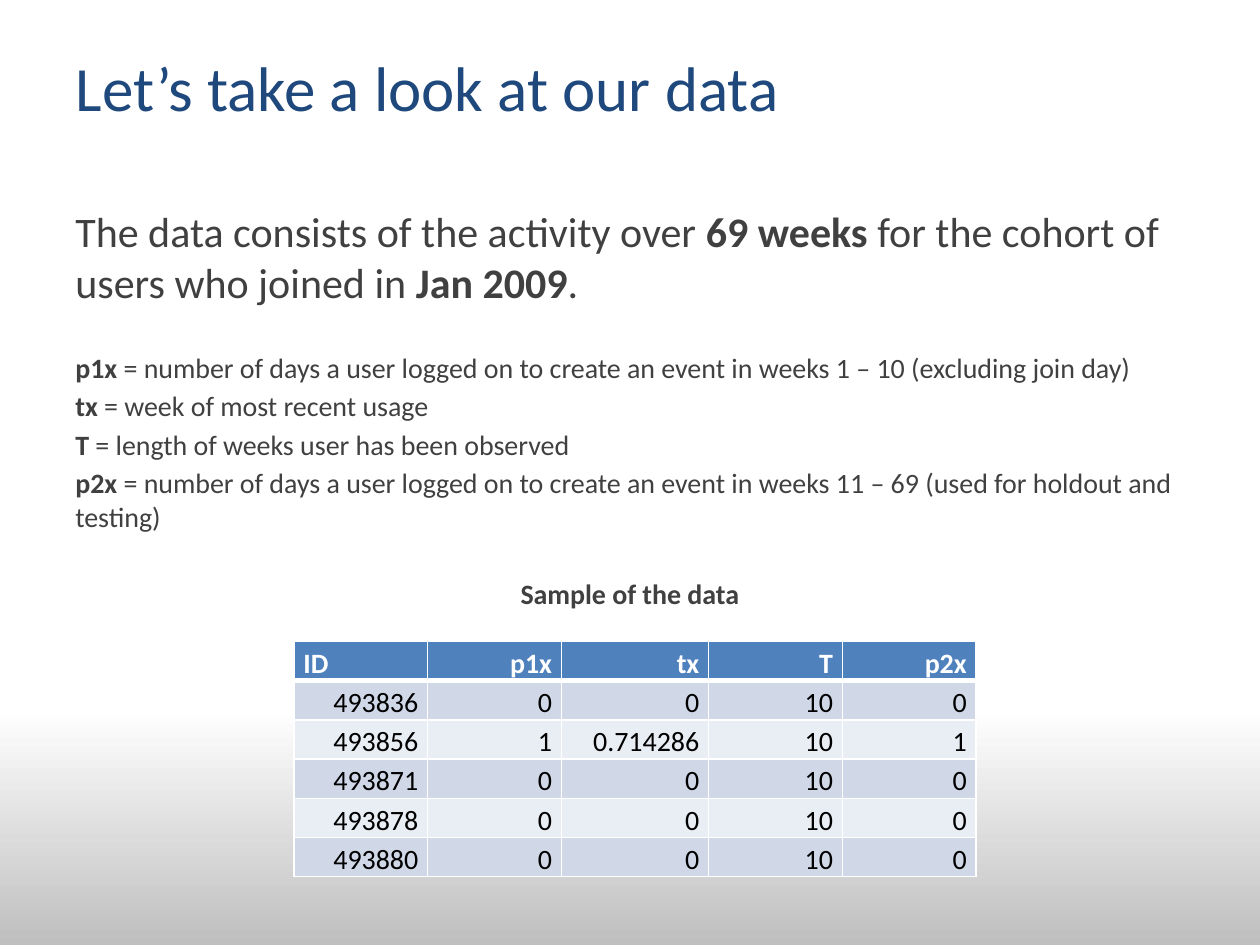
from lxml.etree import SubElement
from pptx import Presentation
from pptx.dml.color import RGBColor
from pptx.enum.text import MSO_ANCHOR, PP_ALIGN
from pptx.oxml.ns import qn
from pptx.util import Pt

FONT = "Calibri"
TITLE_BLUE = "1F497D"
BODY_GRAY = "404040"
HEADER_BLUE = "4F81BD"
BAND_FILLS = ("E9EDF4", "D0D8E8")
WHITE = "FFFFFF"
BLACK = "000000"

DESCRIPTION = [
    (24, 0, PP_ALIGN.LEFT, [
        ("The data consists of the activity over ", False),
        ("69 weeks", True),
        (" for the cohort of users who joined in ", False),
        ("Jan 2009", True),
        (".", False),
    ]),
    (16, 25, PP_ALIGN.LEFT, [
        ("p1x", True),
        (" = number of days a user logged on to create an event in weeks 1 – 10 (excluding join day)", False),
    ]),
    (16, 2.8, PP_ALIGN.LEFT, [("tx", True), (" = week of most recent usage", False)]),
    (16, 2.8, PP_ALIGN.LEFT, [("T", True), (" = length of weeks user has been observed", False)]),
    (16, 2.8, PP_ALIGN.LEFT, [
        ("p2x", True),
        (" = number of days a user logged on to create an event in weeks 11 – 69 (used for holdout and testing)", False),
    ]),
    (16, 25, PP_ALIGN.CENTER, [("Sample of the data", True)]),
]

SAMPLE = [
    ("ID", "p1x", "tx", "T", "p2x"),
    ("493836", "0", "0", "10", "0"),
    ("493856", "1", "0.714286", "10", "1"),
    ("493871", "0", "0", "10", "0"),
    ("493878", "0", "0", "10", "0"),
    ("493880", "0", "0", "10", "0"),
]
COLUMN_WIDTHS = (76.4, 76.4, 84.2, 76.4, 76.4)
ROW_HEIGHT = 22.4


def color(hex_string):
    return RGBColor.from_string(hex_string)


def format_run(run, size, hex_string, bold=False):
    run.font.name = FONT
    run.font.size = Pt(size)
    run.font.bold = bold
    run.font.color.rgb = color(hex_string)


def paint_background(slide):
    fill = slide.background.fill
    fill.gradient()
    fill.gradient_angle = 270
    for stop, position, hex_string in zip(fill.gradient_stops, (0.75, 1), (WHITE, "BFBFBF")):
        stop.position = position
        stop.color.rgb = color(hex_string)


def place_title(slide, left, top, width, height):
    title = slide.shapes.title
    title.left, title.top, title.width, title.height = map(Pt, (left, top, width, height))
    text_frame = title.text_frame
    text_frame.text = "Let’s take a look at our data"
    text_frame.vertical_anchor = MSO_ANCHOR.TOP
    paragraph = text_frame.paragraphs[0]
    paragraph.alignment = PP_ALIGN.LEFT
    format_run(paragraph.runs[0], 36, TITLE_BLUE)


def place_description(slide, left, top, width, height):
    text_frame = slide.shapes.add_textbox(*map(Pt, (left, top, width, height))).text_frame
    text_frame.word_wrap = True
    for index, (size, space_before, alignment, parts) in enumerate(DESCRIPTION):
        paragraph = text_frame.add_paragraph() if index else text_frame.paragraphs[0]
        paragraph.space_before = Pt(space_before)
        paragraph.alignment = alignment
        for text, bold in parts:
            run = paragraph.add_run()
            run.text = text
            format_run(run, size, BODY_GRAY, bold)


def set_borders(cell, bottom_width):
    properties = cell._tc.get_or_add_tcPr()
    widths = {"a:lnL": 1, "a:lnR": 1, "a:lnT": 1, "a:lnB": bottom_width}
    for position, (tag, width) in enumerate(widths.items()):
        line = SubElement(properties, qn(tag), w=str(Pt(width)))
        properties.insert(position, line)
        fill = SubElement(line, qn("a:solidFill"))
        SubElement(fill, qn("a:srgbClr"), val=WHITE)


def format_cell(cell, text, row_index, column_index):
    is_header = row_index == 0
    cell.text = text
    cell.vertical_anchor = MSO_ANCHOR.BOTTOM
    cell.margin_left = cell.margin_right = Pt(5.4)
    cell.margin_top = cell.margin_bottom = 0
    cell.fill.solid()
    cell.fill.fore_color.rgb = color(HEADER_BLUE if is_header else BAND_FILLS[row_index % 2])
    set_borders(cell, 3 if is_header else 1)
    paragraph = cell.text_frame.paragraphs[0]
    paragraph.line_spacing = 1.15
    paragraph.alignment = PP_ALIGN.LEFT if is_header and column_index == 0 else PP_ALIGN.RIGHT
    format_run(paragraph.runs[0], 16, WHITE if is_header else BLACK, is_header)


def place_sample_table(slide, left, top):
    size = (sum(COLUMN_WIDTHS), ROW_HEIGHT * len(SAMPLE))
    frame = slide.shapes.add_table(
        len(SAMPLE), len(COLUMN_WIDTHS), Pt(left), Pt(top), *map(Pt, size))
    table = frame.table
    for column, width in zip(table.columns, COLUMN_WIDTHS):
        column.width = Pt(width)
    for row_index, values in enumerate(SAMPLE):
        table.rows[row_index].height = Pt(ROW_HEIGHT)
        for column_index, text in enumerate(values):
            format_cell(table.cell(row_index, column_index), text, row_index, column_index)


def build_data_slide(presentation):
    slide = presentation.slides.add_slide(presentation.slide_layouts[5])
    paint_background(slide)
    place_title(slide, 36, 24, 648, 78)
    place_description(slide, 36, 114, 648, 368.6)
    place_sample_table(slide, 168, 366.6)


presentation = Presentation()
presentation.slide_width = Pt(720)
presentation.slide_height = Pt(540)
build_data_slide(presentation)
presentation.save("out.pptx")
